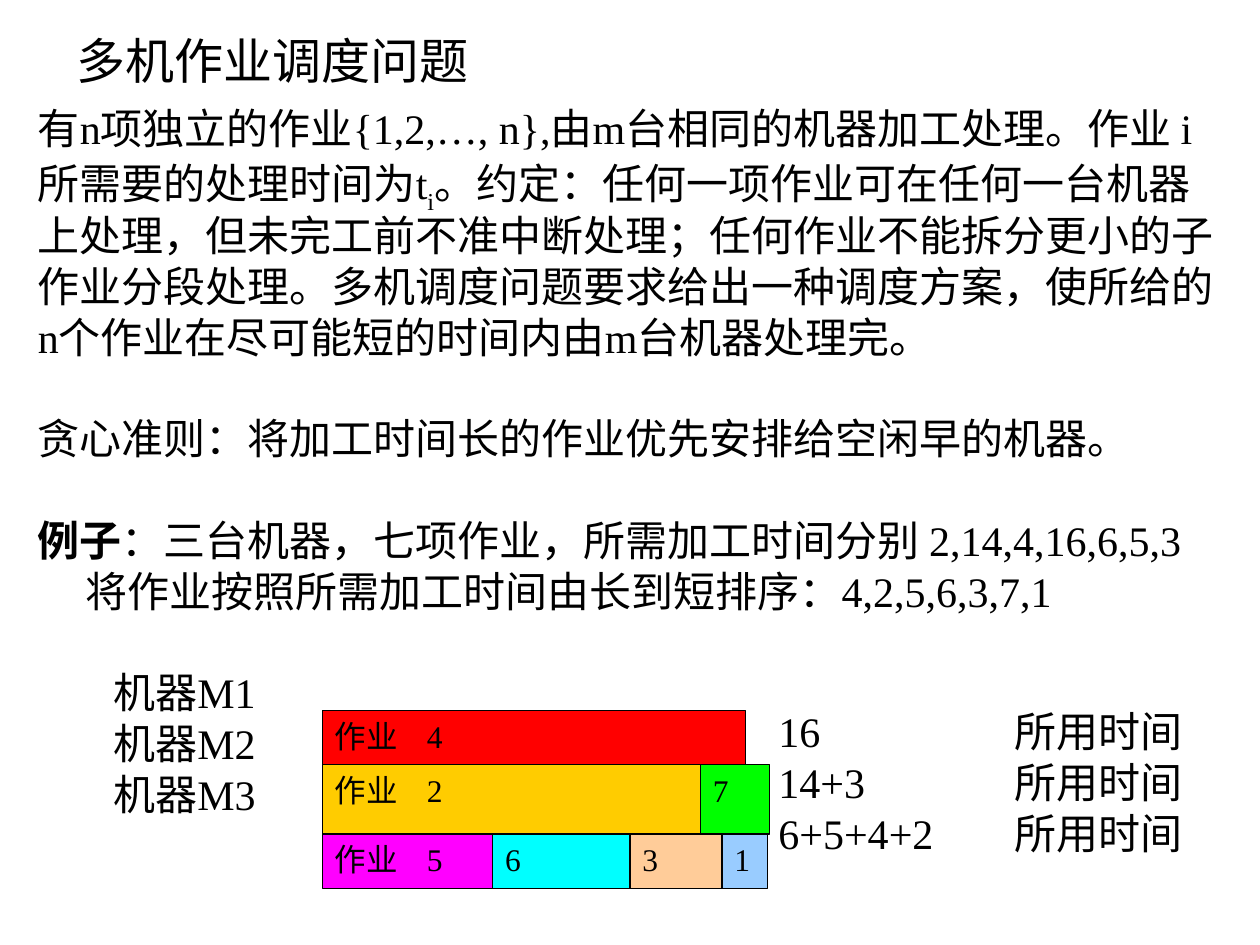
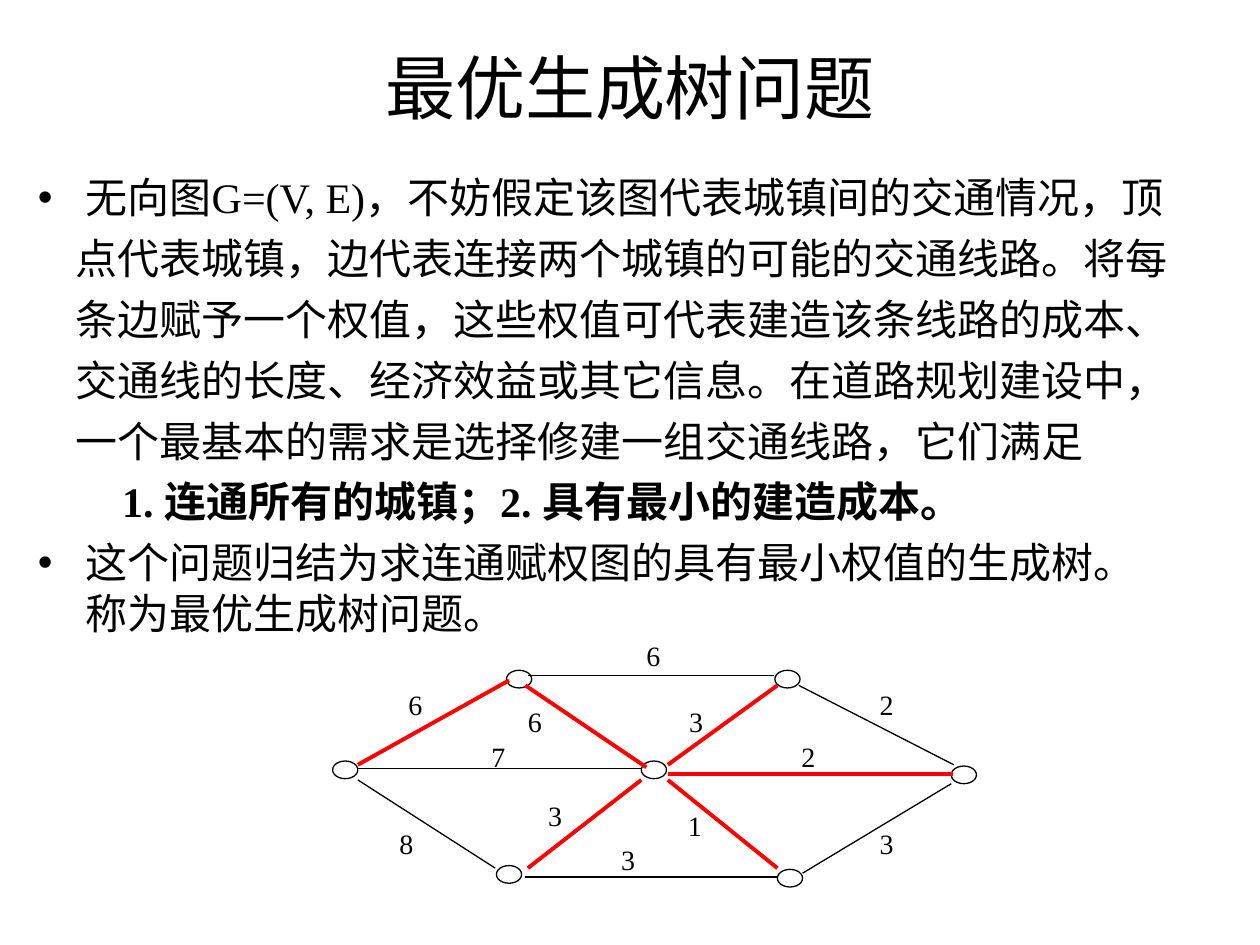
from dataclasses import dataclass

from lxml.etree import SubElement
from pptx import Presentation
from pptx.dml.color import RGBColor
from pptx.enum.shapes import MSO_CONNECTOR, MSO_SHAPE
from pptx.enum.text import MSO_ANCHOR, MSO_AUTO_SIZE, PP_ALIGN
from pptx.oxml.ns import qn
from pptx.util import Inches, Pt


@dataclass(frozen=True)
class Theme:
    ink: str = "000000"
    tree: str = "FF0000"
    title_font: str = "Arial"
    text_font: str = "Times New Roman"
    small_title: int = 28
    large_title: int = 40
    body: int = 24
    bar: int = 18
    weight: int = 16
    thin: float = 0.75
    thick: float = 2.25


THEME = Theme()
HANG = 0.38
BODY_GAP = 6
SECTION_GAP = 35
TIGHT = 0.8

# rows of bars: height, then (label, width, colour) from left to right
MACHINE_ROWS = [
    (0.43, [("作业\t4", 3.36, "FF0000")]),
    (0.55, [("作业\t2", 3.0, "FFCC00"), ("7", 0.55, "00FF00")]),
    (0.43, [("作业\t5", 1.35, "FF00FF"), ("6", 1.09, "00FFFF"),
            ("3", 0.73, "FFCC99"), ("1", 0.36, "99CCFF")]),
]
MACHINE_TIMES = ["16", "14+3", "6+5+4+2"]

TOWNS = [(2.45, 0.97), (1.38, 0.25), (3.51, 0.25), (3.53, 1.83),
         (4.91, 1.01), (1.30, 1.80), (0, 0.97)]
TOWN_SIZE = (0.2, 0.14)

# start, end, weight, place of the weight, whether the road is in the tree
ROADS = [
    ((0.20, 1.00), (1.40, 0.33), 6, (0.56, 0.39), True),
    ((1.55, 0.29), (3.50, 0.29), 6, (2.45, 0), False),
    ((3.70, 0.37), (4.93, 1.00), 2, (4.30, 0.39), False),
    ((0.20, 1.12), (1.29, 1.82), 8, (0.49, 1.49), False),
    ((1.53, 1.89), (3.53, 1.89), 3, (2.25, 1.62), False),
    ((3.73, 1.86), (4.91, 1.15), 3, (4.30, 1.49), False),
    ((0.20, 1.03), (2.45, 1.03), 7, (1.22, 0.80), False),
    ((3.53, 0.37), (2.66, 1.00), 3, (2.79, 0.52), True),
    ((2.45, 1.12), (1.55, 1.82), 3, (1.67, 1.27), True),
    ((1.53, 0.37), (2.49, 1.02), 6, (1.51, 0.52), True),
    ((2.66, 1.12), (3.53, 1.82), 1, (2.78, 1.35), True),
    ((2.66, 1.07), (4.92, 1.07), 2, (3.68, 0.80), True),
]


def rgb(code):
    return RGBColor.from_string(code)


def add_text(paragraph, text, size=THEME.body, font=THEME.text_font,
             bold=False, baseline=0):
    run = paragraph.add_run()
    run.text = text
    run.font.size = Pt(size)
    run.font.name = font
    run.font.bold = bold
    run.font.color.rgb = rgb(THEME.ink)
    if baseline:
        run.font._element.set("baseline", str(baseline * 1000))


def set_layout(paragraph, left=0, first=0, bullet=False):
    """Set the indents, in inches, and the bullet."""
    props = paragraph._p.get_or_add_pPr()
    props.set("marL", str(Inches(left)))
    props.set("indent", str(Inches(first)))
    if bullet:
        SubElement(props, qn("a:buChar")).set("char", "•")
    else:
        SubElement(props, qn("a:buNone"))


def set_tab(paragraph, position):
    stops = SubElement(paragraph._p.get_or_add_pPr(), qn("a:tabLst"))
    SubElement(stops, qn("a:tab"), pos=str(Inches(position)), algn="l")


def move(shape, box):
    shape.left, shape.top, shape.width, shape.height = map(Inches, box)


def fill_title(slide, box, text, size, align):
    title = slide.shapes.title
    move(title, box)
    frame = title.text_frame
    frame.auto_size = MSO_AUTO_SIZE.NONE
    frame.vertical_anchor = MSO_ANCHOR.MIDDLE
    paragraph = frame.paragraphs[0]
    paragraph.alignment = align
    add_text(paragraph, text, size=size, font=THEME.title_font)


def fill_frame(frame, items, line_spacing):
    """Each item is (runs, layout, space before); a run is (text, format)."""
    frame.word_wrap = True
    frame.auto_size = MSO_AUTO_SIZE.NONE
    for index, (runs, layout, gap) in enumerate(items):
        paragraph = frame.add_paragraph() if index else frame.paragraphs[0]
        set_layout(paragraph, **layout)
        paragraph.line_spacing = line_spacing
        paragraph.space_before = Pt(gap if index else 0)
        for text, style in runs:
            add_text(paragraph, text, **style)


def fill_body(slide, box, items, line_spacing):
    body = slide.placeholders[1]
    move(body, box)
    fill_frame(body.text_frame, items, line_spacing)


def item(text, gap=BODY_GAP, bold=False, **layout):
    return [(text, {"bold": bold})], layout, gap


def draw_machine_bars(slide, left, top):
    for height, jobs in MACHINE_ROWS:
        job_left = left
        for label, width, colour in jobs:
            bar = slide.shapes.add_shape(
                MSO_SHAPE.RECTANGLE, Inches(job_left), Inches(top),
                Inches(width), Inches(height))
            bar.shadow.inherit = False
            bar.fill.solid()
            bar.fill.fore_color.rgb = rgb(colour)
            bar.line.color.rgb = rgb(THEME.ink)
            bar.line.width = Pt(THEME.thin)
            bar.text_frame.vertical_anchor = MSO_ANCHOR.TOP
            paragraph = bar.text_frame.paragraphs[0]
            paragraph.alignment = PP_ALIGN.JUSTIFY
            set_tab(paragraph, 0.73)
            add_text(paragraph, label, size=THEME.bar)
            job_left += width
        top += height


def draw_time_columns(slide, left, top):
    captions = ["所用时间"] * len(MACHINE_TIMES)
    for offset, lines in ((0, MACHINE_TIMES), (1.87, captions)):
        column = slide.shapes.add_textbox(
            *map(Inches, (left + offset, top, 1.7, 1.3)))
        fill_frame(column.text_frame, [item(line) for line in lines], TIGHT)


def draw_road(slide, start, end, in_tree):
    road = slide.shapes.add_connector(
        MSO_CONNECTOR.STRAIGHT, *map(Inches, (*start, *end)))
    road.line.color.rgb = rgb(THEME.tree if in_tree else THEME.ink)
    road.line.width = Pt(THEME.thick if in_tree else THEME.thin)
    SubElement(road._element.spPr, qn("a:effectLst"))


def draw_weight(slide, place, weight):
    label = slide.shapes.add_textbox(
        *map(Inches, (*place, 0.28, 0.22)))
    frame = label.text_frame
    frame.word_wrap = True
    frame.margin_left = Inches(0.04)
    frame.margin_top = frame.margin_right = frame.margin_bottom = 0
    add_text(frame.paragraphs[0], str(weight), size=THEME.weight)


def draw_town_graph(slide, left, top):
    def at(point):
        return left + point[0], top + point[1]

    for town in TOWNS:
        oval = slide.shapes.add_shape(
            MSO_SHAPE.OVAL, *map(Inches, (*at(town), *TOWN_SIZE)))
        oval.shadow.inherit = False
        oval.fill.background()
        oval.line.color.rgb = rgb(THEME.ink)
        oval.line.width = Pt(THEME.thin)
    for start, end, weight, place, in_tree in ROADS:
        draw_road(slide, at(start), at(end), in_tree)
        draw_weight(slide, at(place), weight)


def build_scheduling_slide(slide):
    fill_title(slide, (0.51, 0.21, 9, 0.53), "多机作业调度问题",
               THEME.small_title, PP_ALIGN.LEFT)
    hanging = {"left": HANG, "first": -HANG}
    items = [
        item("有n项独立的作业{1,2,…, n},由m台相同的机器加工处理。作业 i", **hanging),
        ([("所需要的处理时间为t", {}), ("i", {"baseline": -25}),
          ("。约定：任何一项作业可在任何一台机器", {})], hanging, BODY_GAP),
        item("上处理，但未完工前不准中断处理；任何作业不能拆分更小的子", **hanging),
        item("作业分段处理。多机调度问题要求给出一种调度方案，使所给的", **hanging),
        item("n个作业在尽可能短的时间内由m台机器处理完。", **hanging),
        item("贪心准则：将加工时间长的作业优先安排给空闲早的机器。",
             gap=SECTION_GAP, **hanging),
        ([("例子", {"bold": True}),
          ("：三台机器，七项作业，所需加工时间分别 2,14,4,16,6,5,3", {})],
         hanging, SECTION_GAP),
        item("将作业按照所需加工时间由长到短排序：4,2,5,6,3,7,1", left=HANG),
    ]
    for number in range(1, len(MACHINE_ROWS) + 1):
        items.append(item(f"机器M{number}", left=0.6,
                          gap=SECTION_GAP if number == 1 else BODY_GAP))
    fill_body(slide, (0.2, 0.84, 9.61, 6.46), items, TIGHT)
    draw_machine_bars(slide, 2.56, 5.64)
    draw_time_columns(slide, 6.08, 5.63)


def build_spanning_tree_slide(slide):
    fill_title(slide, (0.5, 0.3, 9, 0.77), "最优生成树问题",
               THEME.large_title, PP_ALIGN.CENTER)
    bulleted = {"left": HANG, "first": -HANG, "bullet": True}
    continued = [
        "点代表城镇，边代表连接两个城镇的可能的交通线路。将每",
        "条边赋予一个权值，这些权值可代表建造该条线路的成本、",
        "交通线的长度、经济效益或其它信息。在道路规划建设中，",
        "一个最基本的需求是选择修建一组交通线路，它们满足",
    ]
    items = [
        item("无向图G=(V, E)，不妨假定该图代表城镇间的交通情况，顶", **bulleted),
        *(item(line, left=0.3) for line in continued),
        item("1. 连通所有的城镇；2. 具有最小的建造成本。", bold=True, left=0.67),
        item("这个问题归结为求连通赋权图的具有最小权值的生成树。 称为最优生成树问题。",
             **bulleted),
    ]
    fill_body(slide, (0.2, 1.31, 9.3, 5.98), items, line_spacing=1.0)
    draw_town_graph(slide, 2.64, 5.07)


def main():
    deck = Presentation()
    deck.slide_width, deck.slide_height = Inches(10), Inches(7.5)
    for build in (build_scheduling_slide, build_spanning_tree_slide):
        build(deck.slides.add_slide(deck.slide_layouts[1]))
    deck.save("out.pptx")


if __name__ == "__main__":
    main()
